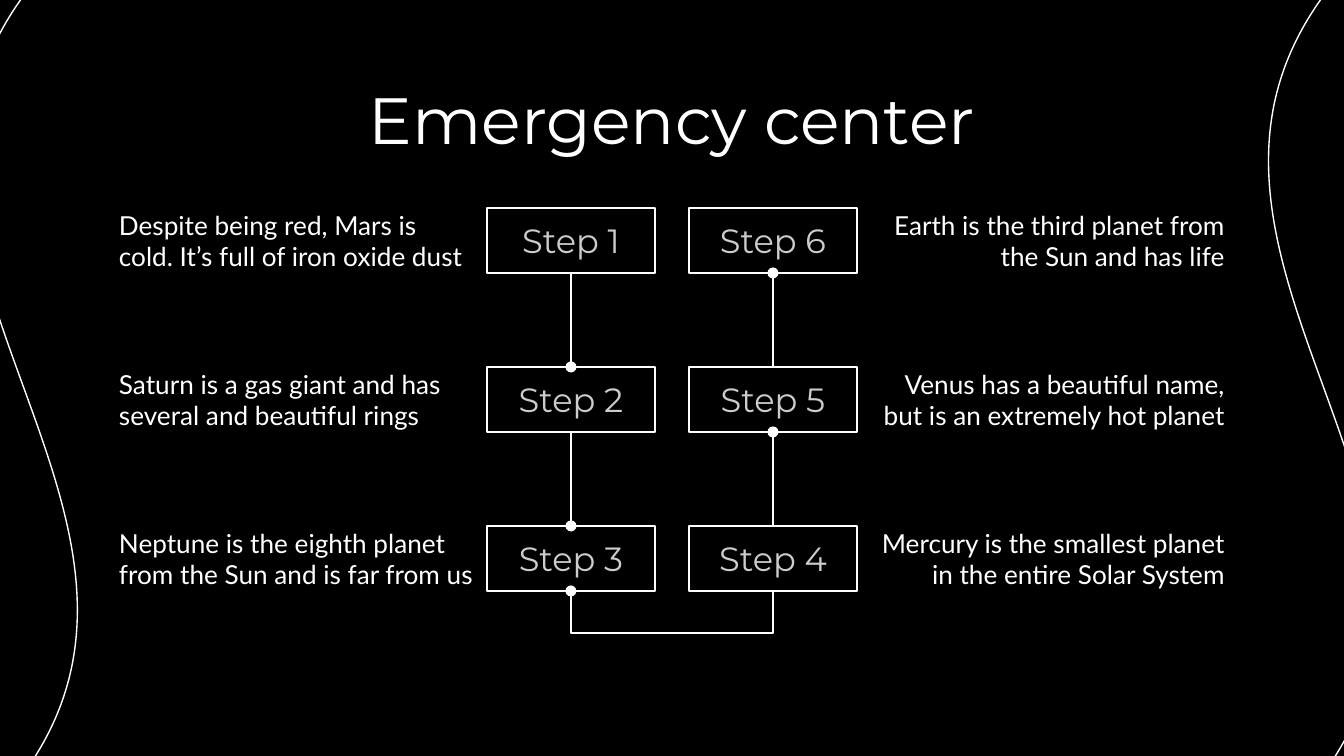
from dataclasses import dataclass

from lxml.etree import SubElement
from pptx import Presentation
from pptx.dml.color import RGBColor
from pptx.enum.shapes import MSO_CONNECTOR, MSO_SHAPE
from pptx.enum.text import MSO_ANCHOR, PP_ALIGN
from pptx.oxml.ns import qn
from pptx.util import Emu, Pt

BLACK = RGBColor(0x00, 0x00, 0x00)
WHITE = RGBColor(0xFF, 0xFF, 0xFF)
GREY = RGBColor(0xCC, 0xCC, 0xCC)

PX_PER_INCH = 134.4
SLIDE_W, SLIDE_H = 1344, 756
MARGIN = 106
INSET = 13
NOTE_W = 381
STEP_W, ROW_H = 168, 65
FIRST_ROW, ROW_PITCH = 208, 159
ELBOW_DROP = 35
ELBOW_SPAN = Emu(600)  # the elbow's bend is measured against this tiny span
LINE_WIDTH = Pt(0.75)
TOP, BOTTOM = 0, 2


@dataclass(frozen=True)
class Step:
    number: int
    note: str

    @property
    def on_left(self) -> bool:
        return self.number <= 3

    @property
    def row(self) -> int:
        return self.number - 1 if self.on_left else 6 - self.number


STEPS = [
    Step(1, "Despite being red, Mars is cold. It’s full of iron oxide dust"),
    Step(2, "Saturn is a gas giant and has several and beautiful rings"),
    Step(3, "Neptune is the eighth planet from the Sun and is far from us"),
    Step(4, "Mercury is the smallest planet in the entire Solar System"),
    Step(5, "Venus has a beautiful name, but is an extremely hot planet"),
    Step(6, "Earth is the third planet from the Sun and has life"),
]


def px(length: int) -> Emu:
    return Emu(round(length * 914400 / PX_PER_INCH))


def place(left: int, top: int, width: int, height: int) -> tuple:
    return px(left), px(top), px(width), px(height)


def outline(shape) -> None:
    shape.line.color.rgb = WHITE
    shape.line.width = LINE_WIDTH


def write(shape, text: str, font: str, size: int, color: RGBColor, align, anchor) -> None:
    frame = shape.text_frame
    frame.word_wrap = True
    frame.vertical_anchor = anchor
    frame.margin_left = frame.margin_right = px(INSET)
    frame.margin_top = frame.margin_bottom = px(INSET)
    para = frame.paragraphs[0]
    para.text = text
    para.alignment = align
    para.font.name = font
    para.font.size = Pt(size)
    para.font.color.rgb = color


def draw_wave(page) -> None:
    wave = page.shapes.add_shape(MSO_SHAPE.WAVE, *place(284, -321, 778, 1413))
    wave.adjustments[0] = 0.04
    wave.adjustments[1] = 0
    wave.rotation = 90
    wave.shadow.inherit = False
    wave.fill.solid()
    wave.fill.fore_color.rgb = BLACK
    outline(wave)
    wave._element.spPr.find(qn("a:xfrm")).set("flipH", "1")


def draw_step(page, step: Step):
    """Draw the note and its numbered box, mirrored on the right; return the box."""
    top = FIRST_ROW + step.row * ROW_PITCH
    note_left, box_left = MARGIN, MARGIN + NOTE_W
    align = PP_ALIGN.LEFT
    if not step.on_left:
        note_left = SLIDE_W - note_left - NOTE_W
        box_left = SLIDE_W - box_left - STEP_W
        align = PP_ALIGN.RIGHT
    note = page.shapes.add_textbox(*place(note_left, top, NOTE_W, ROW_H))
    write(note, step.note, "Lato", 14, WHITE, align, MSO_ANCHOR.MIDDLE)

    box = page.shapes.add_shape(MSO_SHAPE.RECTANGLE, *place(box_left, top, STEP_W, ROW_H))
    box.shadow.inherit = False
    box.fill.background()
    outline(box)
    write(box, f"Step {step.number}", "Montserrat", 18, GREY,
          PP_ALIGN.CENTER, MSO_ANCHOR.MIDDLE)
    return box


def join(page, kind, start, start_side: int, end, end_side: int):
    """Connect two boxes with a line that ends in a dot."""
    link = page.shapes.add_connector(kind, 0, 0, 0, 0)
    link.begin_connect(start, start_side)
    link.end_connect(end, end_side)
    outline(link)
    SubElement(link.line._get_or_add_ln(), qn("a:tailEnd"), type="oval")
    SubElement(link._element.spPr, qn("a:effectLst"))
    return link


def join_below(page, start, end) -> None:
    """Connect the undersides of two boxes with an elbow that dips below them."""
    link = join(page, MSO_CONNECTOR.ELBOW, start, BOTTOM, end, BOTTOM)
    span = link.width
    link.left += (span - ELBOW_SPAN) // 2
    link.top -= span // 2
    link.width, link.height = ELBOW_SPAN, span
    properties = link._element.spPr
    frame = properties.find(qn("a:xfrm"))
    frame.set("rot", str(270 * 60000))
    frame.set("flipH", "1")
    guides = properties.find(qn("a:prstGeom")).get_or_add_avLst()
    bend = round(px(ELBOW_DROP) / ELBOW_SPAN * 100000)
    SubElement(guides, qn("a:gd"), name="adj1", fmla=f"val {bend}")


def main() -> None:
    deck = Presentation()
    deck.slide_width, deck.slide_height = px(SLIDE_W), px(SLIDE_H)
    page = deck.slides.add_slide(deck.slide_layouts[6])
    page.background.fill.solid()
    page.background.fill.fore_color.rgb = BLACK

    draw_wave(page)
    title = page.shapes.add_textbox(*place(MARGIN, 66, SLIDE_W - 2 * MARGIN, 85))
    write(title, "Emergency center", "Montserrat", 35, WHITE,
          PP_ALIGN.CENTER, MSO_ANCHOR.TOP)

    boxes = {step.number: draw_step(page, step) for step in STEPS}
    for number in (1, 2):
        join(page, MSO_CONNECTOR.STRAIGHT, boxes[number], BOTTOM, boxes[number + 1], TOP)
    join_below(page, boxes[3], boxes[4])
    for number in (4, 5):
        join(page, MSO_CONNECTOR.STRAIGHT, boxes[number], TOP, boxes[number + 1], BOTTOM)

    deck.save("out.pptx")


if __name__ == "__main__":
    main()
